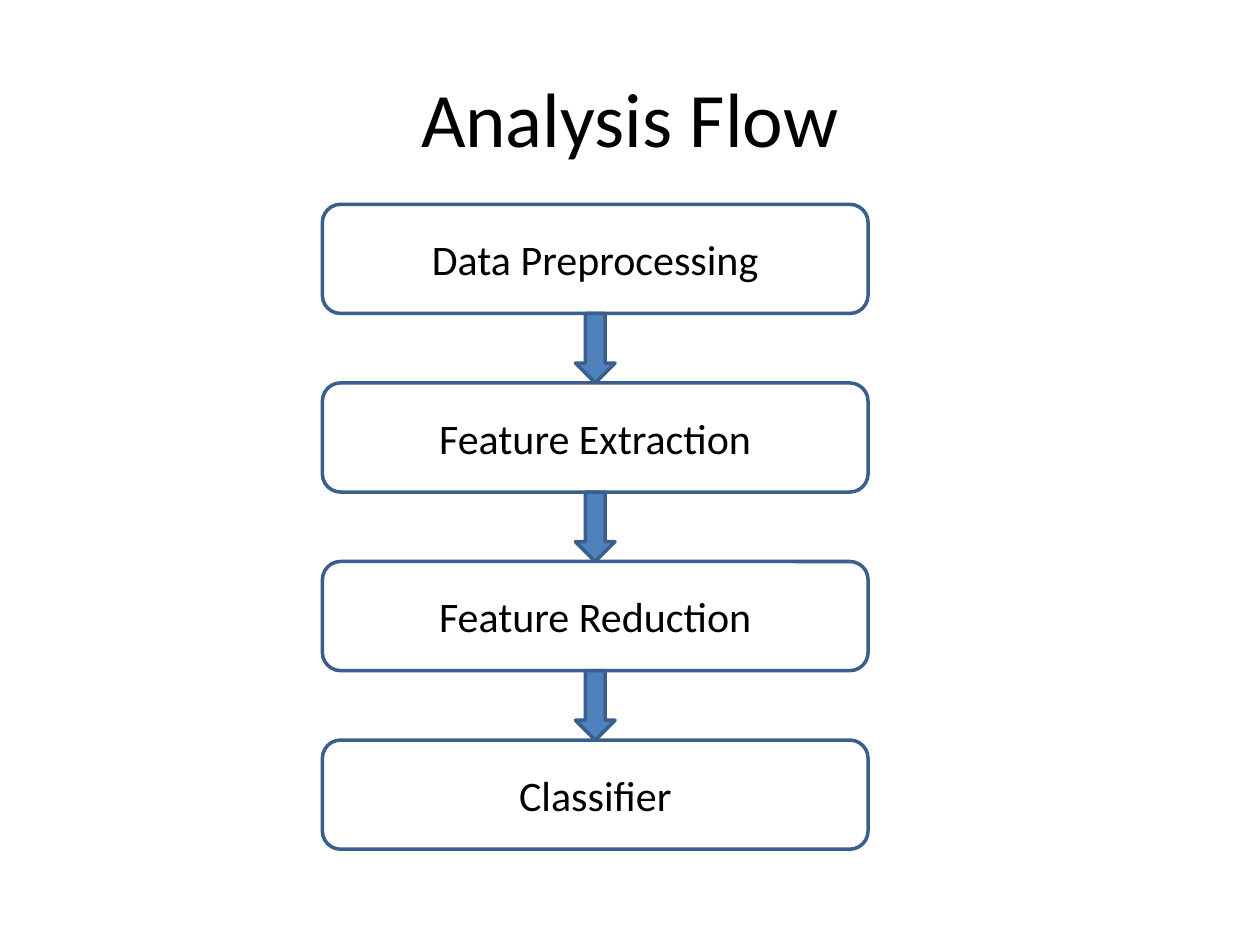
import pptx
import pptx.dml.color
import pptx.enum.shapes
import pptx.enum.text
import pptx.util
from pptx.util import Cm

STEPS = ["Data Preprocessing", "Feature Extraction", "Feature Reduction", "Classifier"]
STEP_LEFT, FIRST_TOP = 6.5, 4.12
STEP_WIDTH, STEP_HEIGHT = 11, 2.2
ARROW_WIDTH, ARROW_HEIGHT = 0.8, 1.4
OUTLINE, ARROW_FILL, INK = "3A5F8C", "4F81BD", "000000"


def color(value):
    return pptx.dml.color.RGBColor.from_string(value)


def write(frame, wording, size):
    frame.word_wrap = True
    frame.vertical_anchor = pptx.enum.text.MSO_ANCHOR.MIDDLE
    line = frame.paragraphs[0]
    line.alignment = pptx.enum.text.PP_ALIGN.CENTER
    run = line.add_run()
    run.text = wording
    run.font.name = "Calibri"
    run.font.size = pptx.util.Pt(size)
    run.font.color.rgb = color(INK)


def add_title(slide, wording):
    title = slide.shapes.add_textbox(Cm(1.27), Cm(0.76), Cm(22.86), Cm(3.18))
    write(title.text_frame, wording, 44)


def add_outlined(slide, kind, left, top, width, height):
    outlined = slide.shapes.add_shape(kind, Cm(left), Cm(top), Cm(width), Cm(height))
    outlined.shadow.inherit = False
    outlined.line.color.rgb = color(OUTLINE)
    outlined.line.width = pptx.util.Pt(2)
    return outlined


def add_step(slide, top, wording):
    step = add_outlined(slide, pptx.enum.shapes.MSO_SHAPE.ROUNDED_RECTANGLE,
                        STEP_LEFT, top, STEP_WIDTH, STEP_HEIGHT)
    step.fill.background()
    write(step.text_frame, wording, 24)


def add_arrow(slide, top):
    left = STEP_LEFT + (STEP_WIDTH - ARROW_WIDTH) / 2
    arrow = add_outlined(slide, pptx.enum.shapes.MSO_SHAPE.DOWN_ARROW,
                         left, top, ARROW_WIDTH, ARROW_HEIGHT)
    arrow.fill.solid()
    arrow.fill.fore_color.rgb = color(ARROW_FILL)


def main():
    deck = pptx.Presentation()
    deck.slide_width, deck.slide_height = Cm(25.4), Cm(19.05)
    slide = deck.slides.add_slide(deck.slide_layouts[6])
    add_title(slide, "Analysis Flow")
    tops = [FIRST_TOP + i * (STEP_HEIGHT + ARROW_HEIGHT) for i in range(len(STEPS))]
    for top, wording in zip(tops, STEPS):
        add_step(slide, top, wording)
    for top in tops[:-1]:
        add_arrow(slide, top + STEP_HEIGHT)
    deck.save("out.pptx")


if __name__ == "__main__":
    main()
